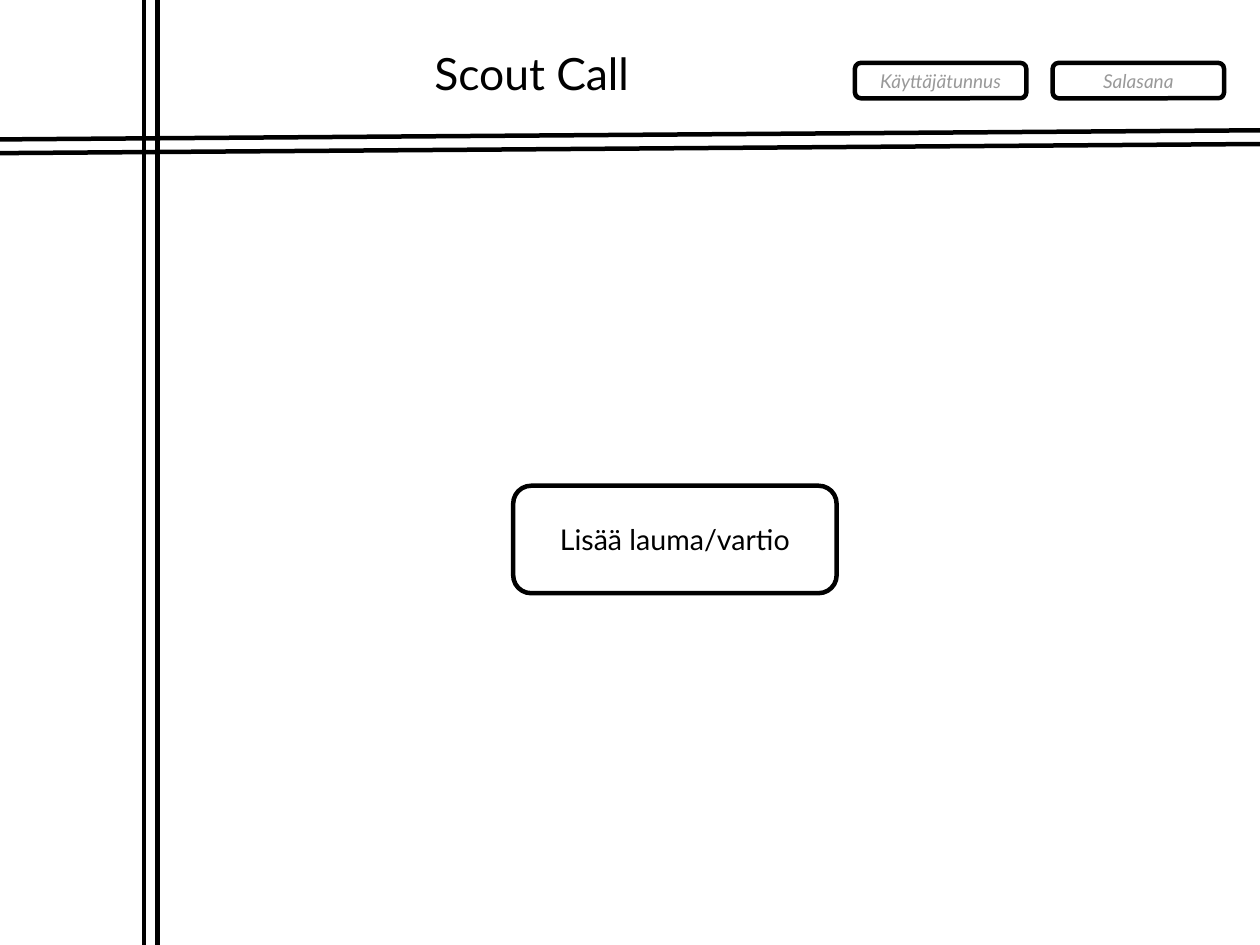
"""Build the Scout Call wireframe slide."""
import dataclasses

import pptx
import pptx.dml.color
import pptx.enum.shapes
import pptx.enum.text
import pptx.oxml.ns
import pptx.slide
import pptx.text.text
import pptx.util

Inches = pptx.util.Inches
CM_PER_INCH = 2.54
PAGE_WIDTH, PAGE_HEIGHT = 28 / CM_PER_INCH, 21 / CM_PER_INCH
LINE_WIDTH = pptx.util.Pt(2.83)
FONT = "Lato"
BLACK, GREY, WHITE = "000000", "999999", "FFFFFF"


@dataclasses.dataclass(frozen=True)
class Rule:
    """A straight divider between two points, in inches."""
    start_x: float
    start_y: float
    end_x: float
    end_y: float


@dataclasses.dataclass(frozen=True)
class Field:
    """A rounded, labelled box, in inches."""
    label: str
    left: float
    top: float
    width: float
    height: float
    size: int
    color: str
    italic: bool = False


SIDEBAR_RULES = [Rule(x, 0, x, PAGE_HEIGHT) for x in (1.38, 1.26)]
HEADER_RULES = [Rule(0, y, PAGE_WIDTH, y - 0.08) for y in (1.22, 1.34)]
LOGIN_FIELDS = [
    Field(label, 7.48 + 1.73 * column, 0.55, 1.5, 0.31, 12, GREY, True)
    for column, label in enumerate(("Käyttäjätunnus", "Salasana"))
]
ADD_BUTTON = Field("Lisää lauma/vartio", 4.49, 4.25, 2.83, 0.94, 18, BLACK)


def paint(target: object, color: str) -> None:
    """Give a fill format a solid colour."""
    target.solid()
    target.fore_color.rgb = pptx.dml.color.RGBColor.from_string(color)


def write(frame: pptx.text.text.TextFrame, text: str, size: int, color: str,
          italic: bool = False) -> None:
    """Set one unwrapped line of formatted text."""
    frame.text = text
    frame.word_wrap = False
    span = frame.paragraphs[0].runs[0]
    span.font.name = FONT
    span.font.size = pptx.util.Pt(size)
    span.font.italic = italic
    paint(span.font.fill, color)


def draw_rule(page: pptx.slide.Slide, rule: Rule) -> None:
    """Draw a divider without a shadow."""
    line = page.shapes.add_connector(
        pptx.enum.shapes.MSO_CONNECTOR.STRAIGHT,
        Inches(rule.start_x), Inches(rule.start_y),
        Inches(rule.end_x), Inches(rule.end_y))
    line.line.width = LINE_WIDTH
    paint(line.line.fill, BLACK)
    properties = line._element.spPr
    properties.append(properties.makeelement(pptx.oxml.ns.qn("a:effectLst"), {}))


def draw_field(page: pptx.slide.Slide, field: Field) -> None:
    """Draw a rounded box with a centred label."""
    box = page.shapes.add_shape(
        pptx.enum.shapes.MSO_SHAPE.ROUNDED_RECTANGLE,
        Inches(field.left), Inches(field.top),
        Inches(field.width), Inches(field.height))
    box.shadow.inherit = False
    box.line.width = LINE_WIDTH
    paint(box.fill, WHITE)
    paint(box.line.fill, BLACK)
    write(box.text_frame, field.label, field.size, field.color, field.italic)
    box.text_frame.vertical_anchor = pptx.enum.text.MSO_ANCHOR.MIDDLE
    box.text_frame.paragraphs[0].alignment = pptx.enum.text.PP_ALIGN.CENTER


def place_title(page: pptx.slide.Slide) -> None:
    """Move the title placeholder into the header."""
    title = page.shapes.title
    title.left, title.top = Inches(3.7), Inches(0.35)
    title.width, title.height = Inches(1.98), Inches(0.63)
    write(title.text_frame, "Scout Call", 28, BLACK)
    title.text_frame.auto_size = pptx.enum.text.MSO_AUTO_SIZE.SHAPE_TO_FIT_TEXT
    title.text_frame.vertical_anchor = pptx.enum.text.MSO_ANCHOR.TOP
    title.text_frame.paragraphs[0].alignment = pptx.enum.text.PP_ALIGN.LEFT


def main() -> None:
    """Build and save the deck."""
    deck = pptx.Presentation()
    deck.slide_width = Inches(PAGE_WIDTH)
    deck.slide_height = Inches(PAGE_HEIGHT)
    page = deck.slides.add_slide(deck.slide_layouts.get_by_name("Title Only"))
    paint(page.background.fill, WHITE)
    place_title(page)
    for rule in SIDEBAR_RULES + HEADER_RULES:
        draw_rule(page, rule)
    for field in [*LOGIN_FIELDS, ADD_BUTTON]:
        draw_field(page, field)
    deck.save("out.pptx")


if __name__ == "__main__":
    main()
